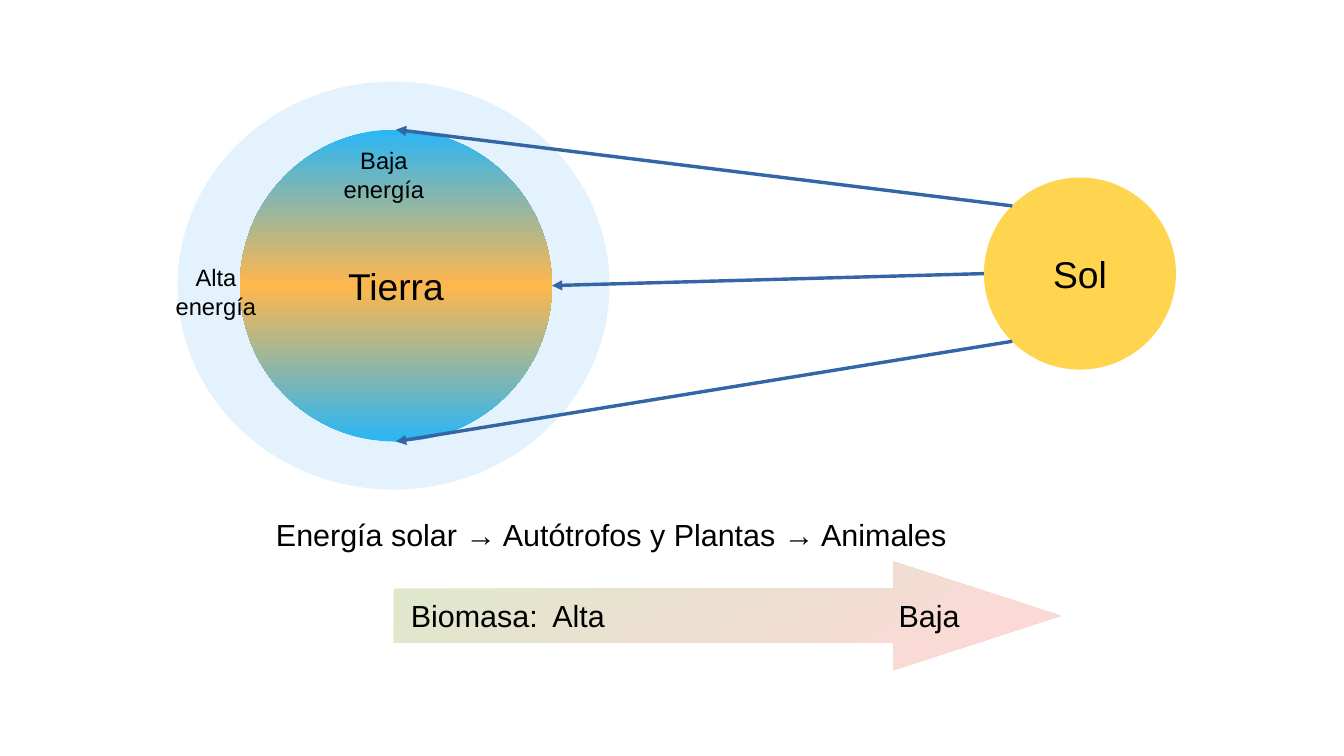
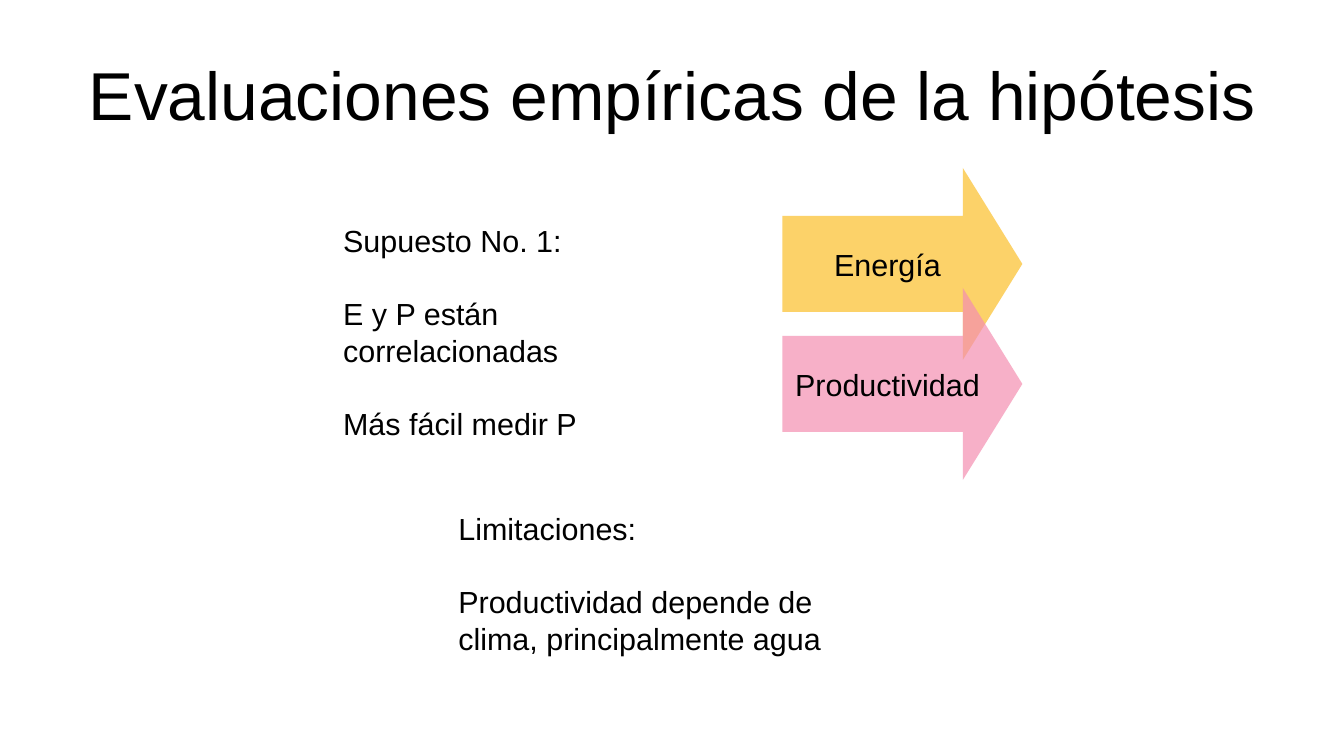
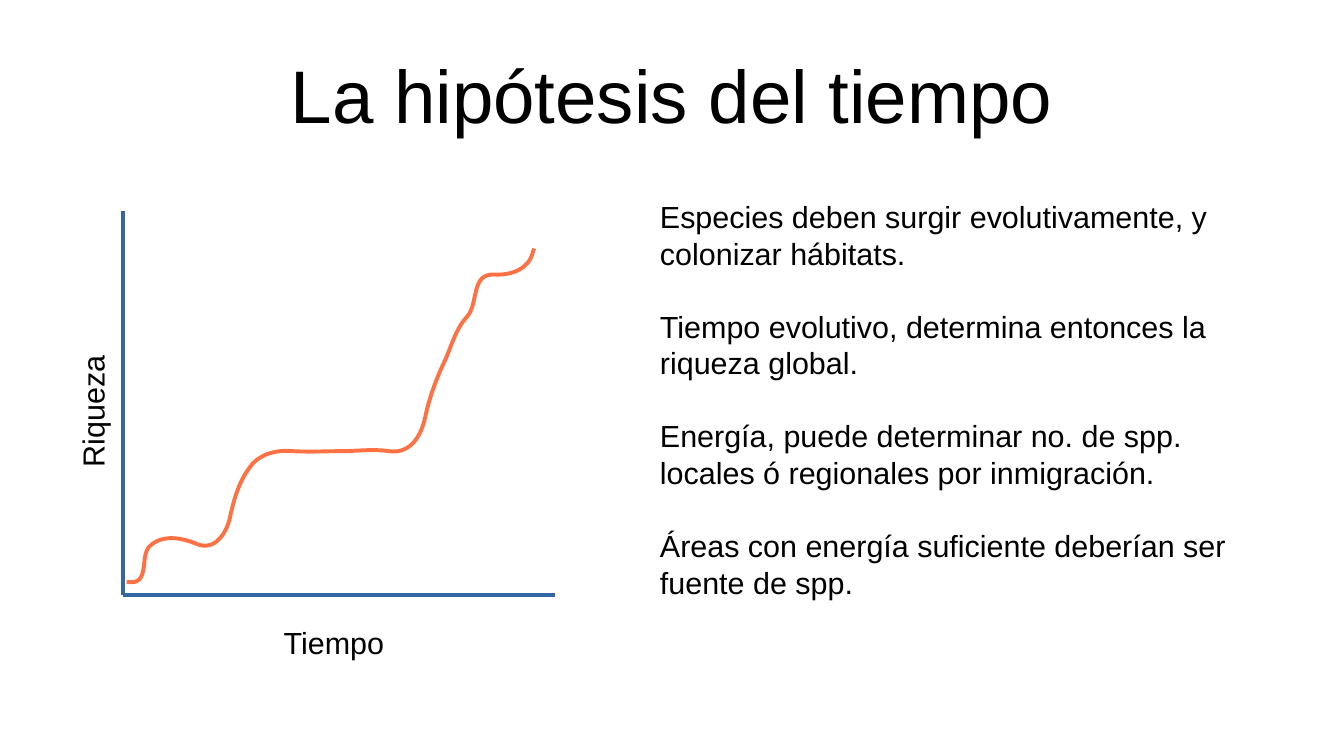
from lxml.etree import SubElement
from pptx import Presentation
from pptx.dml.color import RGBColor
from pptx.enum.shapes import MSO_CONNECTOR, MSO_SHAPE
from pptx.enum.text import MSO_ANCHOR, PP_ALIGN
from pptx.oxml.ns import qn
from pptx.util import Cm, Pt

BLACK = RGBColor(0x00, 0x00, 0x00)
LINE_BLUE = RGBColor(0x34, 0x65, 0xA4)
ATMOSPHERE = RGBColor(0xE3, 0xF2, 0xFD)
POLE_BLUE = RGBColor(0x29, 0xB6, 0xF6)
EQUATOR_ORANGE = RGBColor(0xFF, 0xB7, 0x4D)
SUN_YELLOW = RGBColor(0xFF, 0xD5, 0x4F)
BIOMASS_GREEN = RGBColor(0xDD, 0xE8, 0xCB)
BIOMASS_PINK = RGBColor(0xFF, 0xD7, 0xD7)
ENERGY_AMBER = RGBColor(0xFB, 0xC0, 0x2D)
PRODUCTIVITY_PINK = RGBColor(0xF4, 0x8F, 0xB1)
CURVE_ORANGE = RGBColor(0xFF, 0x70, 0x43)

RICHNESS_START = (2.64, 12.12)
RICHNESS_CURVES = [
    ((3.15, 12.22), (2.9, 11.58), (3.12, 11.38)),
    ((3.38, 11.13), (3.78, 11.2), (4.09, 11.33)),
    ((4.5, 11.51), (4.75, 11.05), (4.8, 10.74)),
    ((4.88, 10.39), (4.98, 10.03), (5.21, 9.73)),
    ((5.41, 9.45), (5.77, 9.37), (6.1, 9.4)),
    ((6.45, 9.42), (6.78, 9.4), (7.11, 9.4)),
    ((7.44, 9.4), (7.77, 9.35), (8.1, 9.4)),
    ((8.59, 9.47), (8.79, 9.02), (8.86, 8.69)),
    ((8.94, 8.31), (9.07, 7.95), (9.22, 7.62)),
    ((9.4, 7.26), (9.47, 6.88), (9.73, 6.6)),
    ((9.98, 6.32), (9.8, 5.69), (10.31, 5.72)),
    ((10.64, 5.74), (11.02, 5.61), (11.1, 5.26)),
]


class Deck:
    font_name = "Arial"
    body_size = 18
    paragraph_gap = Pt(21.6)
    axis_width = 2.3

    def __init__(self):
        self.presentation = Presentation()
        self.presentation.slide_width = Cm(28)
        self.presentation.slide_height = Cm(15.75)
        self.slide = None

    def new_slide(self):
        layout = self.presentation.slide_layouts[6]
        self.slide = self.presentation.slides.add_slide(layout)

    def fill_text(self, shape, paragraphs, size, align, anchor, tabs=()):
        frame = shape.text_frame
        frame.word_wrap = True
        frame.vertical_anchor = anchor
        font_format = {"name": self.font_name, "size": Pt(size), "bold": False}
        for index, text in enumerate(paragraphs):
            paragraph = frame.paragraphs[0] if index == 0 else frame.add_paragraph()
            paragraph.text = text
            paragraph.alignment = align
            if index:
                paragraph.space_before = self.paragraph_gap
            if tabs:
                tab_list = SubElement(paragraph._p.get_or_add_pPr(), qn("a:tabLst"))
                for position in tabs:
                    SubElement(tab_list, qn("a:tab"), pos=str(Cm(position)), algn="l")
            for name, value in font_format.items():
                setattr(paragraph.font, name, value)
            paragraph.font.color.rgb = BLACK

    def text(self, box, *paragraphs, size=body_size, align=PP_ALIGN.LEFT,
             anchor=MSO_ANCHOR.TOP, rotation=0):
        shape = self.slide.shapes.add_textbox(*map(Cm, box))
        shape.rotation = rotation
        self.fill_text(shape, paragraphs, size, align, anchor)
        return shape

    def title(self, text, size):
        shape = self.text((1.4, 0.63, 25.2, 2.63), text, size=size,
                          align=PP_ALIGN.CENTER, anchor=MSO_ANCHOR.MIDDLE)
        for side in ("left", "top", "right", "bottom"):
            setattr(shape.text_frame, f"margin_{side}", 0)

    def shape(self, kind, box, color=None, text=None, size=body_size,
              align=PP_ALIGN.CENTER, tabs=(), adjustments=(), opacity=None):
        shape = self.slide.shapes.add_shape(kind, *map(Cm, box))
        shape.shadow.inherit = False
        shape.line.fill.background()
        for index, value in enumerate(adjustments):
            shape.adjustments[index] = value
        if color is not None:
            shape.fill.solid()
            shape.fill.fore_color.rgb = color
        if opacity is not None:
            color_element = next(shape._element.spPr.iter(qn("a:srgbClr")))
            SubElement(color_element, qn("a:alpha"), val=str(opacity * 1000))
        if text:
            self.fill_text(shape, [text], size, align, MSO_ANCHOR.MIDDLE, tabs)
        return shape

    def gradient(self, shape, colors, angle):
        shape.fill.gradient()
        shape.fill.gradient_angle = 360 - angle
        stops = next(shape._element.spPr.iter(qn("a:gsLst")))
        for stop in list(stops):
            stops.remove(stop)
        for index, color in enumerate(colors):
            position = 100000 * index // (len(colors) - 1)
            stop = SubElement(stops, qn("a:gs"), pos=str(position))
            SubElement(stop, qn("a:srgbClr"), val=str(color))

    def line(self, start, end, width=axis_width, arrow=False):
        connector = self.slide.shapes.add_connector(
            MSO_CONNECTOR.STRAIGHT, *map(Cm, start + end))
        connector.line.color.rgb = LINE_BLUE
        connector.line.width = Pt(width)
        if arrow:
            outline = connector._element.spPr.find(qn("a:ln"))
            SubElement(outline, qn("a:tailEnd"), type="triangle")
        SubElement(connector._element.spPr, qn("a:effectLst"))

    def curve(self, start, curves, end, color):
        points = [tuple(map(Cm, point)) for curve in curves for point in curve]
        points.append(tuple(map(Cm, end)))
        builder = self.slide.shapes.build_freeform(*map(Cm, start))
        builder.add_line_segments(points, close=False)
        shape = builder.convert_to_shape()
        segments = list(shape._element.spPr.iter(qn("a:lnTo")))
        for index in range(len(curves)):
            first, *others = segments[3 * index:3 * index + 3]
            first.tag = qn("a:cubicBezTo")
            for segment in others:
                first.append(segment[0])
                segment.getparent().remove(segment)
        shape.shadow.inherit = False
        shape.fill.background()
        shape.line.color.rgb = color
        shape.line.width = Pt(self.axis_width)


def energy_slide(deck):
    deck.new_slide()
    deck.shape(MSO_SHAPE.OVAL, (3.7, 1.7, 9, 8.5), ATMOSPHERE)
    earth = deck.shape(MSO_SHAPE.OVAL, (5, 2.7, 6.5, 6.5), text="Tierra", size=22)
    deck.gradient(earth, [POLE_BLUE, EQUATOR_ORANGE, POLE_BLUE], 90)
    deck.shape(MSO_SHAPE.OVAL, (20.5, 3.7, 4, 4), SUN_YELLOW, "Sol", size=22)
    rays = [
        ((20.5, 5.7), (11.5, 5.95)),
        ((21.09, 4.29), (8.25, 2.7)),
        ((21.09, 7.11), (8.25, 9.2)),
    ]
    for start, end in rays:
        deck.line(start, end, width=0, arrow=True)
    for left, top, label in ((6.5, 2.92, "Baja energía"), (3, 5.36, "Alta energía")):
        deck.text((left, top, 3, 1.38), label, size=14, align=PP_ALIGN.CENTER)
    deck.text((5.5, 10.62, 17.5, 2.08), "Energía solar → Autótrofos y Plantas → Animales")
    biomass = deck.shape(MSO_SHAPE.RIGHT_ARROW, (8.2, 11.7, 13.9, 2.26),
                         text="Biomasa:\tAlta\tBaja", align=PP_ALIGN.LEFT,
                         tabs=(2.95, 10.16), adjustments=(0.5, 1.54))
    biomass.text_frame.margin_left = Cm(0.36)
    deck.gradient(biomass, [BIOMASS_GREEN, BIOMASS_PINK], 60)


def evaluation_slide(deck):
    deck.new_slide()
    deck.title("Evaluaciones empíricas de la hipótesis", 40)
    deck.text((6.9, 4.5, 6, 4.52), "Supuesto No. 1:",
              "E y P están correlacionadas", "Más fácil medir P")
    arrows = [
        (3.5, "Energía", ENERGY_AMBER, 71),
        (6, "Productividad", PRODUCTIVITY_PINK, 70),
    ]
    for top, label, color, opacity in arrows:
        deck.shape(MSO_SHAPE.RIGHT_ARROW, (16.3, top, 5, 4), color, label,
                   adjustments=(0.5, 0.31), opacity=opacity)
    deck.text((9.3, 10.5, 9.5, 3.1), "Limitaciones:",
              "Productividad depende de clima, principalmente agua")


def time_slide(deck):
    deck.new_slide()
    deck.title("La hipótesis del tiempo", 44)
    origin = (2.57, 12.4)
    deck.line((2.57, 4.4), origin)
    deck.line(origin, (11.57, 12.4))
    deck.text((5.66, 12.87, 8, 0.96), "Tiempo")
    deck.text((-2.1, 5.51, 8, 0.96), "Riqueza", rotation=270)
    deck.curve(RICHNESS_START, RICHNESS_CURVES, (11.13, 5.18), CURVE_ORANGE)
    deck.text((13.5, 4, 12.5, 8.08),
              "Especies deben surgir evolutivamente, y colonizar hábitats.",
              "Tiempo evolutivo, determina entonces la riqueza global.",
              "Energía, puede determinar no. de spp. locales ó regionales por inmigración.",
              "Áreas con energía suficiente deberían ser fuente de spp.")


def main():
    deck = Deck()
    for build in (energy_slide, evaluation_slide, time_slide):
        build(deck)
    deck.presentation.save("out.pptx")


if __name__ == "__main__":
    main()
